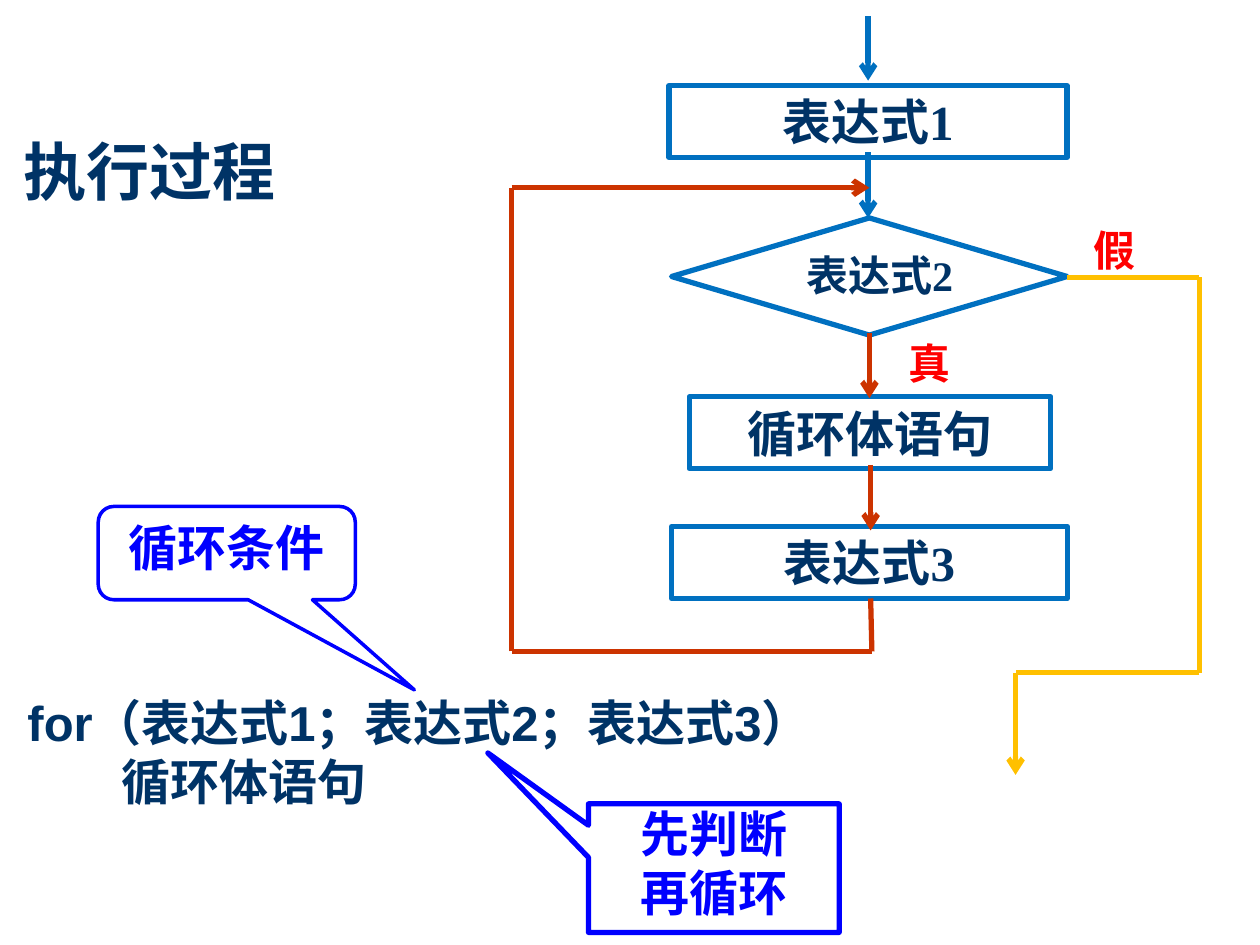
from itertools import pairwise

from lxml import etree
from pptx import Presentation
from pptx.dml.color import RGBColor
from pptx.enum.shapes import MSO_CONNECTOR, MSO_SHAPE
from pptx.enum.text import MSO_ANCHOR, PP_ALIGN
from pptx.oxml.ns import qn
from pptx.util import Inches, Pt

NAVY = RGBColor(0x00, 0x33, 0x66)
STEEL = RGBColor(0x00, 0x70, 0xC0)
RUST = RGBColor(0xCC, 0x33, 0x00)
GOLD = RGBColor(0xFF, 0xC0, 0x00)
BLUE = RGBColor(0x00, 0x00, 0xFF)
RED = RGBColor(0xFF, 0x00, 0x00)

RECTANGLE = MSO_SHAPE.RECTANGLE
DECISION = MSO_SHAPE.FLOWCHART_DECISION
ROUND_CALLOUT = MSO_SHAPE.ROUNDED_RECTANGULAR_CALLOUT
RECT_CALLOUT = MSO_SHAPE.RECTANGULAR_CALLOUT
STRAIGHT = MSO_CONNECTOR.STRAIGHT
LEFT, CENTER = PP_ALIGN.LEFT, PP_ALIGN.CENTER
TOP, BOTTOM = MSO_ANCHOR.TOP, MSO_ANCHOR.BOTTOM
SANS, SERIF = "Arial", "Times New Roman"

STEPS = [
    (DECISION, (5.33, 1.73, 3.14, 0.93), ""),
    (RECTANGLE, (5.31, 0.68, 3.16, 0.57), "表达式1"),
    (RECTANGLE, (5.33, 4.18, 3.14, 0.57), "表达式3"),
    (RECTANGLE, (5.47, 3.15, 2.87, 0.57), "循环体语句"),
]
LABELS = [
    ((5.85, 2.01, 2.46, 0.42), "表达式2", NAVY, 0.45, 0.8),
    ((7.11, 2.63, 0.55, 0.5), "真", RED, 0, 1),
    ((8.58, 1.73, 0.55, 0.5), "假", RED, 0, 1),
]
FLOWS = [
    (STEEL, [(6.89, 0.13), (6.89, 0.64)]),
    (STEEL, [(6.89, 1.21), (6.89, 1.73)]),
    (RUST, [(6.9, 2.64), (6.9, 3.16)]),
    (RUST, [(6.91, 3.69), (6.91, 4.21)]),
    (RUST, [(6.91, 4.75), (6.92, 5.17), (4.06, 5.17), (4.06, 1.49), (6.9, 1.49)]),
    (GOLD, [(8.47, 2.2), (9.52, 2.2), (9.52, 5.34), (8.06, 5.34), (8.06, 6.15)]),
]
CALLOUTS = [
    (ROUND_CALLOUT, (0.78, 4.02, 2.04, 0.74), (0.73, 1.467, 0.167), 2, None, ["循环条件"]),
    (RECT_CALLOUT, (4.67, 6.38, 1.99, 1.02), (-0.901, -0.896), 3, 0, ["先判断", "再循环"]),
]
CODE = [("for（表达式1；表达式2；表达式3）", 0.05), ("循环体语句", 0.8)]


def write(box, lines, size, font, color, align=LEFT, anchor=TOP, spacing=1, indents=(0,)):
    frame = box.text_frame
    frame.word_wrap = True
    frame.vertical_anchor = anchor
    frame.text = "\n".join(lines)
    for index, para in enumerate(frame.paragraphs):
        para.alignment = align
        para.line_spacing = spacing
        indent = indents[index % len(indents)]
        if indent:
            para._p.get_or_add_pPr().set("indent", str(Inches(indent)))
        for span in para.runs:
            span.font.size = Pt(size)
            span.font.name = font
            span.font.bold = True
            span.font.color.rgb = color


def add_text(page, place, *args, **options):
    box = page.shapes.add_textbox(*map(Inches, place))
    write(box, *args, **options)


def add_outline(page, kind, place, color, width):
    shape = page.shapes.add_shape(kind, *map(Inches, place))
    shape.shadow.inherit = False
    shape.fill.background()
    shape.line.color.rgb = color
    shape.line.width = Pt(width)
    return shape


def add_flow(page, color, points):
    for start, end in pairwise(points):
        line = page.shapes.add_connector(STRAIGHT, *map(Inches, start + end))
        line.line.color.rgb = color
        line.line.width = Pt(3)
        if end == points[-1]:
            outline = line.line._get_or_add_ln()
            etree.SubElement(outline, qn("a:tailEnd")).set("type", "arrow")
        etree.SubElement(line._element.spPr, qn("a:effectLst"))


def main():
    deck = Presentation()
    deck.slide_width, deck.slide_height = Inches(10), Inches(7.5)
    page = deck.slides.add_slide(deck.slide_layouts[6])

    add_text(page, (0.09, 0.21, 3.15, 1.5), ["执行过程"], 36, SANS, NAVY,
             anchor=BOTTOM, spacing=0.9)
    code_lines, code_indents = zip(*CODE)
    add_text(page, (0.07, 5.45, 6.56, 1.04), code_lines, 28, SANS, NAVY,
             indents=code_indents)

    for kind, place, label in STEPS:
        step = add_outline(page, kind, place, STEEL, 3)
        if label:
            write(step, [label], 28, SERIF, NAVY, align=CENTER)
    for place, label, color, indent, spacing in LABELS:
        add_text(page, place, [label], 24, SERIF, color, spacing=spacing, indents=(indent,))
    for color, points in FLOWS:
        add_flow(page, color, points)

    for kind, place, pointer, width, inset, lines in CALLOUTS:
        callout = add_outline(page, kind, place, BLUE, width)
        for index, value in enumerate(pointer):
            callout.adjustments[index] = value
        if inset is not None:
            frame = callout.text_frame
            frame.margin_left = frame.margin_right = Inches(inset)
            frame.margin_top = frame.margin_bottom = Inches(inset)
        write(callout, lines, 28, SANS, BLUE, align=CENTER)

    deck.save("out.pptx")


if __name__ == "__main__":
    main()
